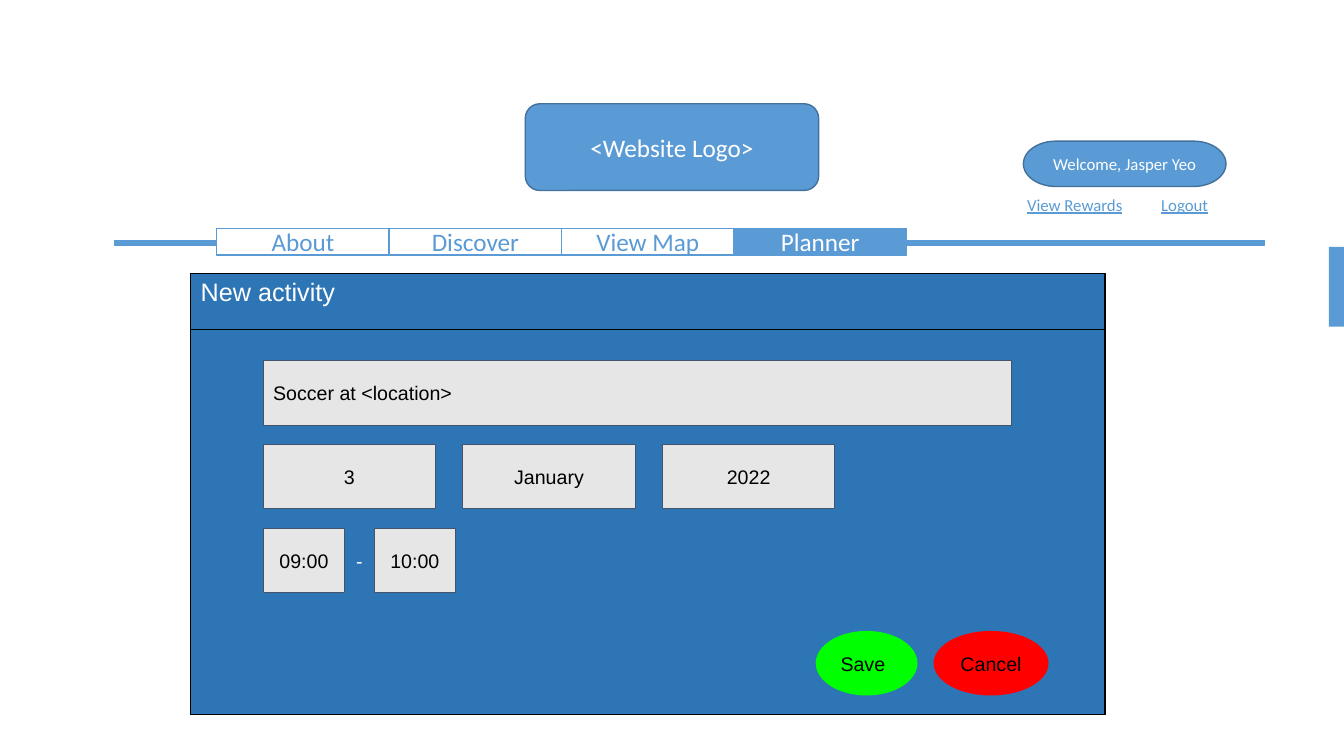
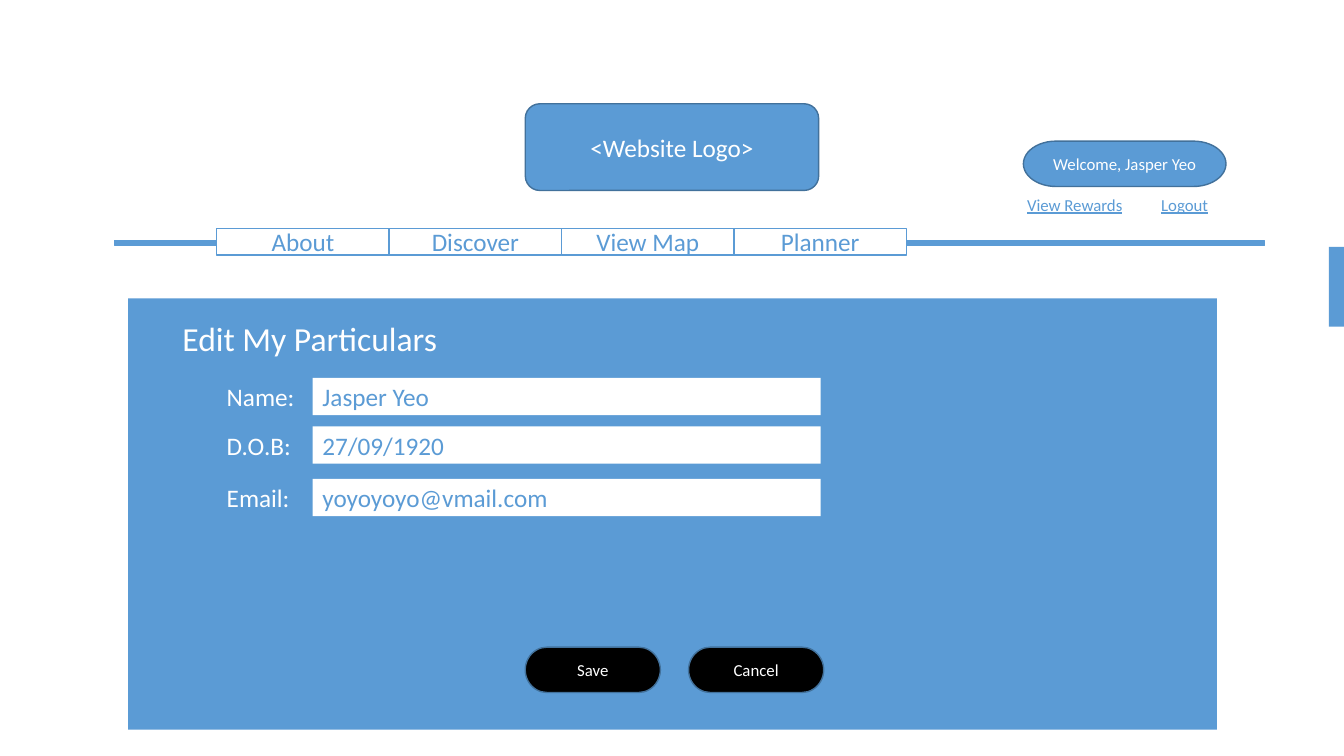
"""Build two wireframe slides of a trip planner: a new activity form and a profile form."""
from dataclasses import dataclass

from lxml import etree
from pptx import Presentation
from pptx.dml.color import RGBColor
from pptx.enum.shapes import MSO_SHAPE
from pptx.enum.text import MSO_ANCHOR, PP_ALIGN
from pptx.oxml.ns import qn
from pptx.util import Inches, Pt

RECTANGLE, ELLIPSE = MSO_SHAPE.RECTANGLE, MSO_SHAPE.OVAL
ROUNDED, PILL = MSO_SHAPE.ROUNDED_RECTANGLE, MSO_SHAPE.FLOWCHART_TERMINATOR
LEFT, CENTER = PP_ALIGN.LEFT, PP_ALIGN.CENTER
TOP, MIDDLE = MSO_ANCHOR.TOP, MSO_ANCHOR.MIDDLE


@dataclass(frozen=True)
class Theme:
    """Colours, fonts and type sizes of the deck."""

    blue: str = "5B9BD5"
    outline: str = "42719B"
    dialog: str = "2E75B5"
    field: str = "E7E6E6"
    field_line: str = "44546A"
    green: str = "00FF00"
    red: str = "FF0000"
    black: str = "000000"
    white: str = "FFFFFF"
    site_font: str = "Calibri"
    form_font: str = "Arial"
    title: int = 24
    body: int = 18
    form: int = 14
    small: int = 12


THEME = Theme()

SITE = dict(font=THEME.site_font, size=THEME.body, color=THEME.white)
FORM = dict(font=THEME.form_font, size=THEME.form, color=THEME.black, inset=0.1)
STYLES = {
    "bar": dict(fill=THEME.blue, line=THEME.blue, weight=0.75),
    "panel": dict(fill=THEME.blue),
    "logo": dict(SITE, preset=ROUNDED, fill=THEME.blue, line=THEME.outline),
    "tab": dict(SITE, fill=THEME.white, line=THEME.blue, color=THEME.blue),
    "active tab": dict(SITE, fill=THEME.blue, line=THEME.blue),
    "welcome": dict(SITE, preset=PILL, fill=THEME.blue, line=THEME.outline, size=THEME.small),
    "link": dict(SITE, preset=PILL, fill=THEME.white, line=THEME.white,
                 size=THEME.small, color=THEME.blue, underline=True),
    "button": dict(SITE, preset=PILL, fill=THEME.black, line=THEME.outline, size=THEME.small),
    "heading": dict(SITE, size=THEME.title, align=LEFT, anchor=TOP),
    "label": dict(SITE, align=LEFT),
    "entry": dict(SITE, fill=THEME.white, color=THEME.blue, align=LEFT),
    "dialog title": dict(SITE, font=THEME.form_font, align=LEFT),
    "choice": dict(FORM, fill=THEME.field, line=THEME.field_line, weight=0.75),
    "dash": dict(FORM, color=THEME.white),
    "save": dict(FORM, preset=ELLIPSE, fill=THEME.green, align=LEFT),
    "cancel": dict(FORM, preset=ELLIPSE, fill=THEME.red),
}
STYLES["activity"] = dict(STYLES["choice"], align=LEFT)

TABS = ["About", "Discover", "View Map", "Planner"]
TAB_BOX = (2.15, 2.27, 1.71, 0.26)
HEADER = [
    ("bar", "", (1.14, 2.39, 11.4, 0.05)),
    ("panel", "", (13.18, 2.45, 0.15, 0.79)),
    ("logo", "<Website Logo>", (5.21, 1.03, 2.91, 0.86)),
    ("welcome", "Welcome, Jasper Yeo", (10.15, 1.4, 2.01, 0.45)),
    ("link", "Logout", (11.33, 1.92, 0.84, 0.22)),
    ("link", "View Rewards", (9.99, 1.93, 1.34, 0.2)),
]

DIALOG_TITLE = "New activity"
DIALOG_BOX = (1.89, 2.71, 9.07)
DIALOG_ROWS = [0.56, 3.82]
ACTIVITY = "Soccer at <location>"
DATE = ["3", "January", "2022"]
TIMES = ["09:00", "10:00"]
FORM_LEFT, FORM_TOP, FORM_STEP, FORM_HEIGHT = 2.61, 3.58, 0.83, 0.64
DATE_WIDTH, DATE_GAP = 1.71, 0.27
TIME_WIDTH, DASH_WIDTH = 0.81, 0.29
DIALOG_BUTTONS = [
    ("save", "Save", (8.09, 6.26, 1.01, FORM_HEIGHT)),
    ("cancel", "Cancel", (9.26, 6.26, 1.14, FORM_HEIGHT)),
]

PROFILE_PANEL = (1.27, 2.96, 10.8, 4.28)
PROFILE_TITLE = ("Edit My Particulars", (1.71, 3.1, 2.79, 0.5))
PARTICULARS = [
    ("Name:", "Jasper Yeo", 3.75),
    ("D.O.B:", "27/09/1920", 4.23),
    ("Email:", "yoyoyoyo@vmail.com", 4.75),
]
LABEL_LEFT, LABEL_WIDTH, ENTRY_WIDTH, ENTRY_HEIGHT = 2.15, 0.95, 5.04, 0.37
PROFILE_BUTTONS = ["Save", "Cancel"]
BUTTON_BOX, BUTTON_STEP = (5.21, 6.42, 1.34, 0.45), 1.62


def rgb(value):
    """Turn a hex string into a colour."""
    return RGBColor.from_string(value)


def set_attributes(target, values):
    """Set each named attribute of the target."""
    for name, value in values.items():
        setattr(target, name, value)


def write(frame, text, style):
    """Write one styled line of text into a text frame."""
    paragraph = frame.paragraphs[0]
    paragraph.alignment = style.get("align", CENTER)
    run = paragraph.add_run()
    run.text = text
    set_attributes(run.font, dict(name=style["font"], size=Pt(style["size"]),
                                  underline=style.get("underline", False), bold=False))
    run.font.color.rgb = rgb(style["color"])


def place(slide, kind, text, box):
    """Add a shape, or a text box when the style has no fill."""
    style = STYLES[kind]
    bounds = [Inches(length) for length in box]
    if "fill" in style:
        shape = slide.shapes.add_shape(style.get("preset", RECTANGLE), *bounds)
        shape.shadow.inherit = False
        shape.fill.solid()
        shape.fill.fore_color.rgb = rgb(style["fill"])
        if "line" in style:
            shape.line.color.rgb = rgb(style["line"])
            shape.line.width = Pt(style.get("weight", 1))
        else:
            shape.line.fill.background()
    else:
        shape = slide.shapes.add_textbox(*bounds)
    if text:
        inset = Inches(style.get("inset", 0.05))
        set_attributes(shape.text_frame, dict(
            word_wrap=True, vertical_anchor=style.get("anchor", MIDDLE),
            margin_left=Inches(0.1), margin_right=Inches(0.1),
            margin_top=inset, margin_bottom=inset))
        write(shape.text_frame, text, style)


def add_header(slide, active=None):
    """Draw the site header and its tabs."""
    for item in HEADER:
        place(slide, *item)
    left, top, width, height = TAB_BOX
    for index, name in enumerate(TABS):
        kind = "active tab" if name == active else "tab"
        place(slide, kind, name, (left + index * width, top, width, height))


def add_dialog(slide):
    """Draw the dialog as a two-row table with a title row."""
    left, top, width = DIALOG_BOX
    frame = slide.shapes.add_table(len(DIALOG_ROWS), 1, Inches(left), Inches(top),
                                   Inches(width), Inches(sum(DIALOG_ROWS)))
    table = frame.table
    set_attributes(table, dict(first_row=False, horz_banding=False))
    for index, height in enumerate(DIALOG_ROWS):
        table.rows[index].height = Inches(height)
        cell = table.cell(index, 0)
        properties = cell._tc.get_or_add_tcPr()
        for side in ("a:lnL", "a:lnR", "a:lnT", "a:lnB"):
            border = etree.SubElement(properties, qn(side), w=str(Pt(1)))
            fill = etree.SubElement(border, qn("a:solidFill"))
            etree.SubElement(fill, qn("a:srgbClr"), val=THEME.black)
        cell.fill.solid()
        cell.fill.fore_color.rgb = rgb(THEME.dialog)
    write(table.cell(0, 0).text_frame, DIALOG_TITLE, STYLES["dialog title"])


def build_activity(slide):
    """Draw the new activity form."""
    add_dialog(slide)
    date_step = DATE_WIDTH + DATE_GAP
    time_step = TIME_WIDTH + DASH_WIDTH
    date_top, time_top = FORM_TOP + FORM_STEP, FORM_TOP + 2 * FORM_STEP
    place(slide, "activity", ACTIVITY, (FORM_LEFT, FORM_TOP, 7.42, FORM_HEIGHT))
    for index, part in enumerate(DATE):
        place(slide, "choice", part,
              (FORM_LEFT + index * date_step, date_top, DATE_WIDTH, FORM_HEIGHT))
    for index, time in enumerate(TIMES):
        place(slide, "choice", time,
              (FORM_LEFT + index * time_step, time_top, TIME_WIDTH, FORM_HEIGHT))
    place(slide, "dash", "-", (FORM_LEFT + TIME_WIDTH, time_top, DASH_WIDTH, FORM_HEIGHT))
    for button in DIALOG_BUTTONS:
        place(slide, *button)
    add_header(slide, active="Planner")


def build_profile(slide):
    """Draw the form for personal particulars."""
    place(slide, "panel", "", PROFILE_PANEL)
    place(slide, "heading", *PROFILE_TITLE)
    for label, entry, top in PARTICULARS:
        place(slide, "label", label, (LABEL_LEFT, top, LABEL_WIDTH, ENTRY_HEIGHT))
        place(slide, "entry", entry,
              (LABEL_LEFT + LABEL_WIDTH, top, ENTRY_WIDTH, ENTRY_HEIGHT))
    left, *rest = BUTTON_BOX
    for index, name in enumerate(PROFILE_BUTTONS):
        place(slide, "button", name, (left + index * BUTTON_STEP, *rest))
    add_header(slide)


def main():
    """Build and save the presentation."""
    presentation = Presentation()
    set_attributes(presentation, dict(slide_width=Inches(13.33), slide_height=Inches(7.5)))
    for build in (build_activity, build_profile):
        build(presentation.slides.add_slide(presentation.slide_layouts[6]))
    presentation.save("out.pptx")


if __name__ == "__main__":
    main()
